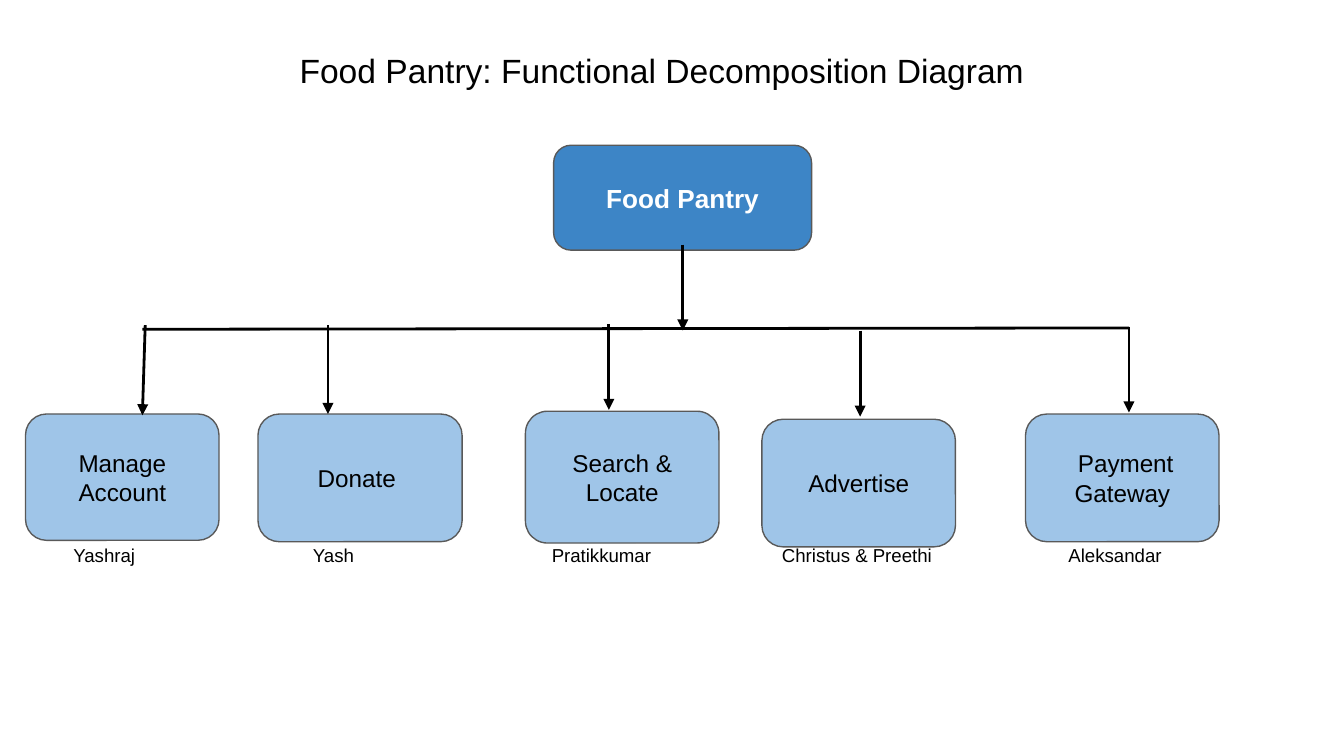
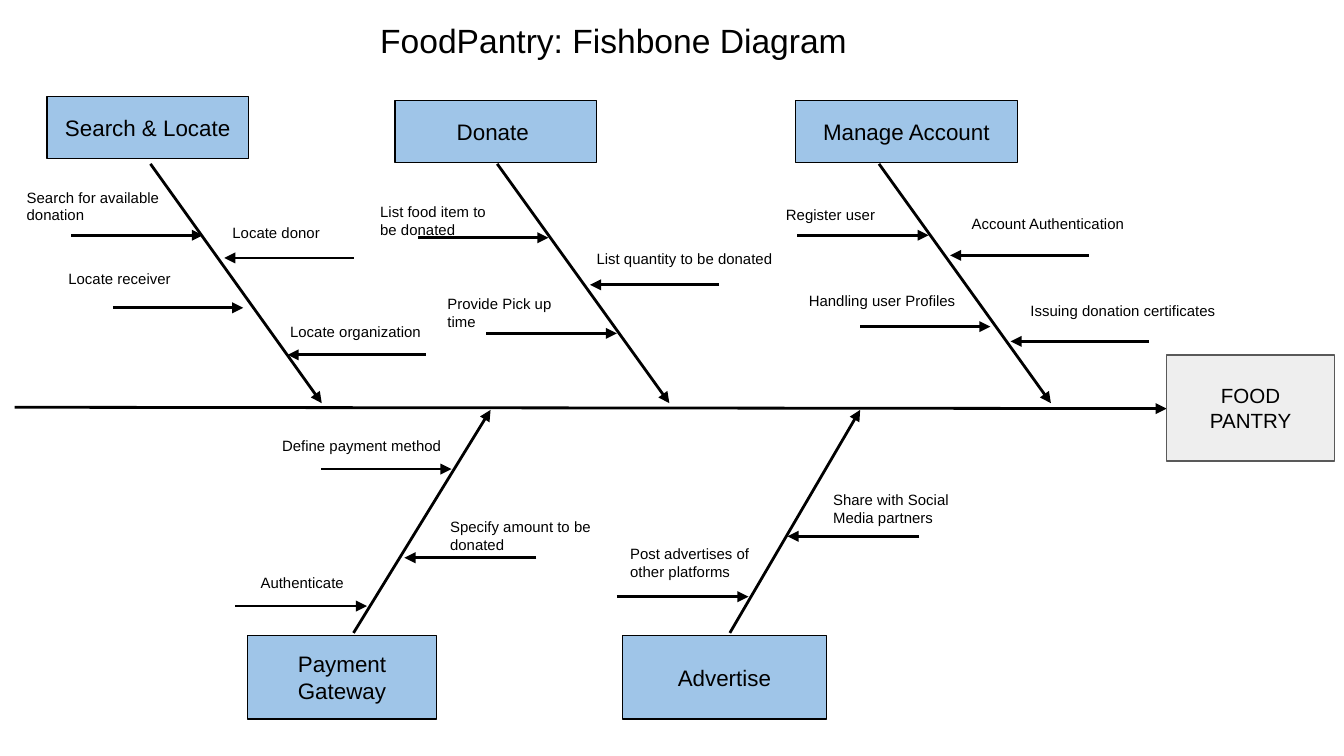
import lxml.etree
import pptx
import pptx.dml.color
import pptx.enum.shapes
import pptx.enum.text
import pptx.oxml.ns
import pptx.util

Pt = pptx.util.Pt
hue = pptx.dml.color.RGBColor.from_string
qn = pptx.oxml.ns.qn
FORMS = pptx.enum.shapes.MSO_SHAPE
ALIGN = pptx.enum.text.PP_ALIGN
ANCHOR = pptx.enum.text.MSO_ANCHOR

# Shared colours and text styles
BLACK, WHITE, GREY = "000000", "FFFFFF", "595959"
BLUE, SKY, PALE = "3D85C6", "9FC5E8", "EEEEEE"
TITLE = {"size": Pt(18)}
ROOT = {"size": Pt(14), "bold": True}
NODE = {"size": Pt(13)}
NAME = {"size": Pt(10)}
CAUSE = {"size": Pt(12)}
GOAL = {"size": Pt(11)}
NOTE = {"size": Pt(8)}


def block(slide, text, spot, style, form=None, fill=SKY, edge=BLACK,
          ink=BLACK, align=ALIGN.CENTER, pad=7.2):
    """Add a filled shape, or a plain text box when no form is given."""
    spot = [Pt(v) for v in spot]
    if form is None:
        shape = slide.shapes.add_textbox(*spot)
    else:
        shape = slide.shapes.add_shape(form, *spot)
        shape.shadow.inherit = False
        shape.fill.solid()
        shape.fill.fore_color.rgb = hue(fill)
        shape.line.color.rgb = hue(edge)
        shape.line.width = Pt(0.75)
    frame = shape.text_frame
    setup = {"word_wrap": True,
             "vertical_anchor": ANCHOR.MIDDLE if form else ANCHOR.TOP,
             "margin_left": Pt(7.2), "margin_right": Pt(7.2),
             "margin_top": Pt(pad), "margin_bottom": Pt(pad)}
    for key, value in setup.items():
        setattr(frame, key, value)
    para = frame.paragraphs[0]
    para.alignment = align
    run = para.add_run()
    run.text = text
    run.font.color.rgb = hue(ink)
    for key, value in {"name": "Arial", **style}.items():
        setattr(run.font, key, value)


def line(slide, start, end, tip=True):
    """Add a black line, with an arrowhead at its end if tip is set."""
    link = slide.shapes.add_connector(
        pptx.enum.shapes.MSO_CONNECTOR.STRAIGHT,
        *[Pt(v) for v in (*start, *end)])
    link.line.width = Pt(1.5)
    link.line.color.rgb = hue(BLACK)
    if tip:
        lxml.etree.SubElement(link.line._get_or_add_ln(), qn("a:tailEnd"),
                              type="triangle")
    lxml.etree.SubElement(link._element.spPr, qn("a:effectLst"))


deck = pptx.Presentation()
deck.slide_width, deck.slide_height = Pt(720), Pt(405)

# Both slides with their titles
tree, fish = [deck.slides.add_slide(deck.slide_layouts[6]) for _ in range(2)]
for slide, text, spot in [
    (tree, "Food Pantry: Functional Decomposition Diagram",
     (153.4, 23, 406, 28.8)),
    (fish, "FoodPantry: Fishbone Diagram", (196.6, 7.2, 290, 28.8)),
]:
    block(slide, text, spot, TITLE, align=ALIGN.LEFT, pad=3.6)

# Slide 1: root box, its arrow and the cross bar
block(tree, "Food Pantry", (296.6, 77.8, 138.2, 56.2), ROOT,
      FORMS.ROUNDED_RECTANGLE, BLUE, GREY, WHITE)
line(tree, (365.8, 131), (365.8, 177.1))
line(tree, (76.3, 176.4), (604.8, 175.7), tip=False)

# Slide 1: function box, arrow down to it, and the person below
for text, spot, start, end, who, left, width in [
    ("Manage Account", (13.7, 221.8, 103.7, 67.7),
     (77.8, 174.2), (76.3, 222.5), "Yashraj ", 7.9, 98.6),
    ("Donate ", (138.2, 221.8, 109.4, 68.4),
     (175.7, 174.2), (175.7, 221.8), "Yash ", 125.3, 109.4),
    ("Search & Locate", (281.5, 220.3, 103.7, 70.6),
     (326.2, 173.5), (326.2, 219.6), "Pratikkumar", 272.9, 98.6),
    ("Advertise", (408.2, 224.6, 103.7, 68.4),
     (460.8, 177.1), (460.8, 223.2), "Christus & Preethi ", 411.1, 98.6),
    (" Payment Gateway", (549.4, 221.8, 103.7, 68.4),
     (604.8, 175), (604.8, 221), "Aleksandar ", 549.4, 98.6),
]:
    block(tree, text, spot, NODE, FORMS.ROUNDED_RECTANGLE, edge=GREY)
    line(tree, start, end)
    block(tree, who, (left, 285.1, width, 23), NAME)

# Slide 2: spine and goal
line(fish, (7.9, 218.2), (625, 218.9))
block(fish, "FOOD PANTRY", (625, 190.1, 90, 56.9), GOAL,
      FORMS.RECTANGLE, PALE, GREY)

# Slide 2: cause boxes, each with its rib to the spine
for text, spot, start, end in [
    ("Search & Locate", (25.2, 51.8, 108, 33.1), (80.6, 87.8), (172.4, 216)),
    ("Donate ", (211.7, 54, 108, 33.1), (266.4, 87.8), (358.6, 216)),
    ("Manage Account", (426.2, 54, 118.8, 33.1), (470.9, 87.8), (563, 216)),
    ("Payment Gateway", (132.5, 340.6, 101.5, 44.6),
     (189.4, 339.1), (262.8, 219.6)),
    ("Advertise", (333.4, 340.6, 109.4, 44.6), (391, 339.1), (460.8, 219.6)),
]:
    block(fish, text, spot, CAUSE, FORMS.RECTANGLE)
    line(fish, start, end)

# Slide 2: notes, each with a level arrow (start x, end x, y)
ONE, TWO = 24.5, 34
for text, spot, start, end, level in [
    ("Search for available donation", (7.2, 93.6, 92.2, TWO),
     38.2, 108.7, 126),
    ("Locate donor", (117.4, 115.2, 118.8, ONE), 189.4, 120.2, 138.2),
    ("Locate receiver", (29.5, 139.7, 118.8, ONE), 60.5, 130.3, 164.9),
    ("Locate organization", (148.3, 167.8, 118.8, ONE), 228.2, 154.1, 190.1),
    ("List food item to be donated", (196.6, 101.5, 77, TWO),
     223.9, 293.8, 127.4),
    ("List quantity to be donated", (312.5, 128.9, 118.8, TWO),
     385.2, 316.1, 152.6),
    ("Provide Pick up time", (232.6, 150.5, 77, TWO), 260.6, 330.5, 178.6),
    ("Register user", (414, 105.1, 95.8, ONE), 427, 497.5, 126),
    ("Account Authentication", (513.4, 110.2, 109.4, ONE),
     583.2, 509, 136.8),
    ("Handling user Profiles", (426.2, 151.2, 118.8, ONE),
     460.8, 530.6, 175),
    ("Issuing donation certificates", (545, 157, 158.4, ONE),
     615.6, 541.4, 182.9),
    ("Define payment method", (144, 229, 118.8, TWO), 172.1, 241.9, 251.3),
    ("Specify amount to be donated", (234, 270, 92.2, TWO),
     287.3, 216.7, 298.8),
    ("Authenticate ", (132.5, 302.4, 92.2, TWO), 126, 196.6, 324.7),
    ("Post advertises of other platforms", (330.5, 284.4, 92.2, TWO),
     330.5, 401, 319.7),
    ("Share with Social Media partners ", (439.2, 255.6, 92.2, TWO),
     492.5, 421.9, 287.3),
]:
    block(fish, text, spot, NOTE, align=ALIGN.LEFT)
    line(fish, (start, level), (end, level))

deck.save("out.pptx")
